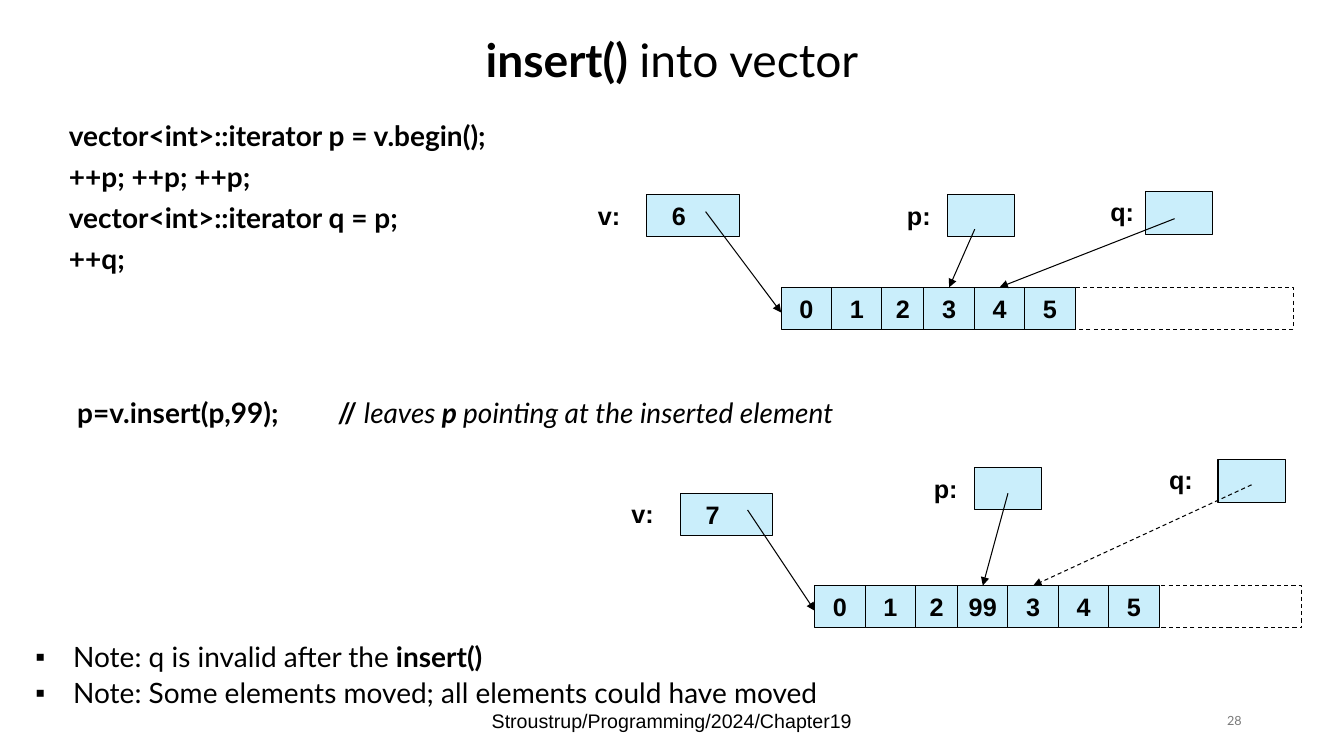
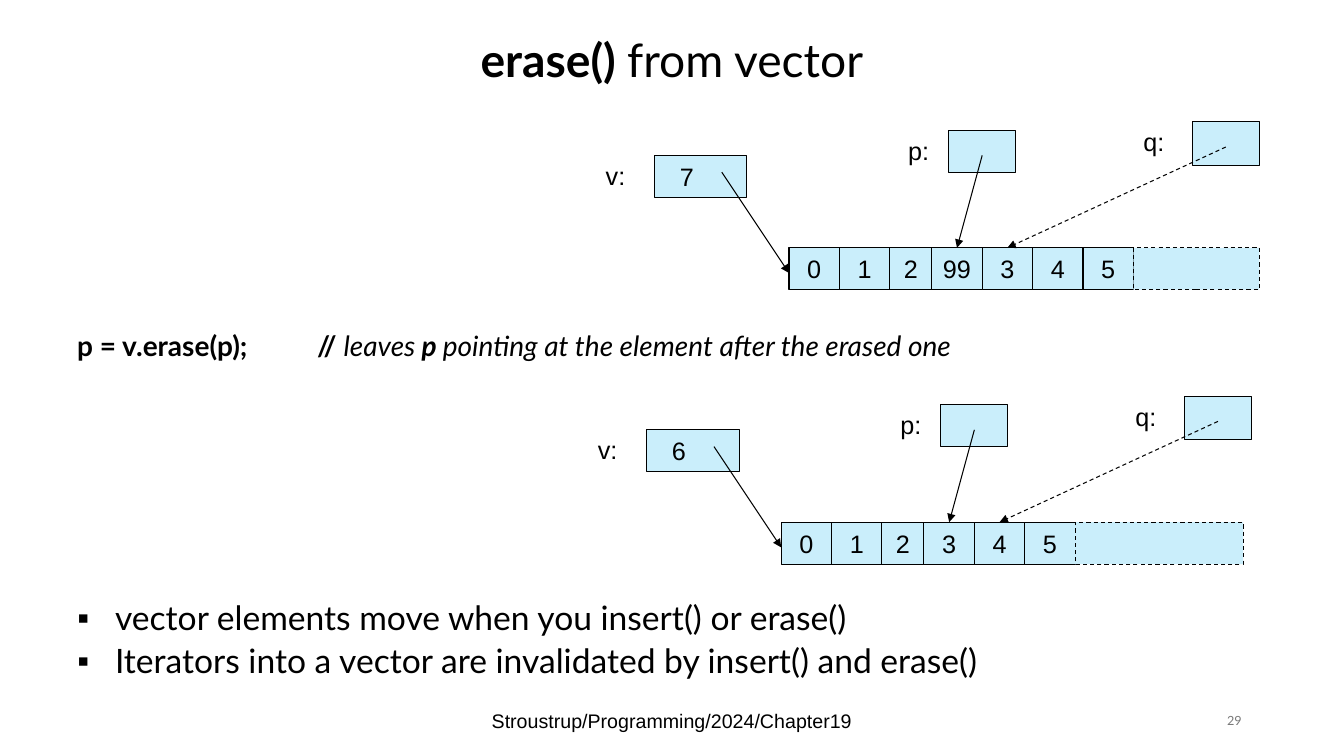
from dataclasses import dataclass
from itertools import accumulate

from lxml.etree import SubElement
from pptx import Presentation
from pptx.dml.color import RGBColor
from pptx.enum.dml import MSO_LINE_DASH_STYLE as Dash
from pptx.enum.shapes import MSO_CONNECTOR_TYPE as Connector, MSO_SHAPE as Preset
from pptx.enum.text import MSO_ANCHOR as Anchor, MSO_AUTO_SIZE as AutoSize, PP_ALIGN as Align
from pptx.oxml.ns import qn
from pptx.util import Pt


@dataclass(frozen=True)
class Theme:
    ink: RGBColor = RGBColor(0x00, 0x00, 0x00)
    muted: RGBColor = RGBColor(0x79, 0x79, 0x79)
    cell: RGBColor = RGBColor(0xCA, 0xEE, 0xFB)
    prose: str = "Lato"
    label: str = "Arial"
    title_size: float = 33
    code_size: float = 20
    diagram_size: float = 18
    footer_size: float = 14
    number_size: float = 9
    outline: float = 0.75


THEME = Theme()
SLIDE_SIZE = (960, 540)
TITLE_BOX = (156, 0, 648, 90)
FOOTER_BOX = (318, 500.4, 324, 28.8)
NUMBER_BOX = (678, 500.4, 216, 28.8)
FOOTER = "Stroustrup/Programming/2024/Chapter19"

CELL_HEIGHT = 30
CELL_WIDTHS = (36, 36, 30, 36, 36, 36, 36)
SIZE_BOX = (-96, -66, 66, CELL_HEIGHT)
SIZE_LABEL_GAP = 42
DATA_ARROW_DROP = (-54, 18)

NEAR = {
    "p": {"box": (118.8, -66, 48, 30), "gap": 36, "start": (19.5, 24.5), "dashed": False},
    "q": {"box": (260, -68.4, 48, 31), "gap": 32, "start": (21, 19.4), "dashed": False},
}
FAR = {
    "p": {"box": (114, -84, 48, 30), "gap": 36, "start": (24, 18), "dashed": False},
    "q": {"box": (288, -90, 48, 31), "gap": 42, "start": (24, 18), "dashed": True},
}
TARGETS = {"p": 3, "q": 4}

SLIDES = [
    {
        "number": "28",
        "layout": 3,
        "title": [("insert() ", "b"), ("into vector", "")],
        "code": {
            "box": (42, 84, 426, 130),
            "lines": [
                [("vector<int>::iterator p = v.begin();", "b")],
                [("++p; ++p; ++p;", "b")],
                [("vector<int>::iterator q = p;", "b")],
                [("++q;", "b")],
            ],
        },
        "call": {
            "box": (48, 281.5, 708, 42),
            "tab": 186,
            "line": [("p=v.insert(p,99);\t// ", "b"), ("leaves", "i"), (" p ", "bi"),
                     ("pointing at the inserted element", "i")],
        },
        "notes": {
            "box": (18, 455.8, 768, 72),
            "size": 20,
            "lines": [
                [("Note: q is invalid after the", ""), (" insert()", "b")],
                [("Note: Some elements moved; all elements could have moved", "")],
            ],
        },
        "bold": True,
        "spare_filled": False,
        "vectors": [
            {"origin": (558, 205.2), "values": "0 1 2 3 4 5", "spare": 156,
             "data_start": -54, "iterators": NEAR},
            {"origin": (582, 418.3), "values": "0 1 2 99 3 4 5", "spare": 102,
             "data_start": -48, "iterators": FAR},
        ],
    },
    {
        "number": "29",
        "layout": 1,
        "title": [("erase() ", "b"), ("from vector", "")],
        "call": {
            "box": (48, 234, 744, 42),
            "tab": 171.5,
            "line": [("p = v.erase(p);\t// ", "b"), ("leaves", "i"), (" p ", "bi"),
                     ("pointing at the element after the erased one", "i")],
        },
        "notes": {
            "box": (48, 426, 762, 66),
            "size": 24,
            "lines": [
                [("vector elements move when you insert() or erase()", "")],
                [("Iterators into a vector are invalidated by insert() and erase()", "")],
            ],
        },
        "bold": False,
        "spare_filled": True,
        "vectors": [
            {"origin": (563.6, 177), "values": "0 1 2 99 3 4 5", "spare": 90,
             "data_start": -48, "iterators": FAR},
            {"origin": (558, 373), "values": "0 1 2 3 4 5", "spare": 120,
             "data_start": -48, "iterators": FAR},
        ],
    },
]


def assign(target, values):
    for key, value in values.items():
        setattr(target, key, value)


def points(values):
    return [Pt(value) for value in values]


def place(holder, box):
    assign(holder, dict(zip(("left", "top", "width", "height"), points(box))))


def write(holder, lines, size, font, color=THEME.ink, paragraph=None, frame=None):
    text = holder.text_frame
    assign(text, {"word_wrap": True, "auto_size": AutoSize.NONE, **(frame or {})})
    for index, line in enumerate(lines):
        row = text.add_paragraph() if index else text.paragraphs[0]
        assign(row, paragraph or {})
        for words, style in line:
            run = row.add_run()
            run.text = words
            assign(run.font, {"name": font, "size": Pt(size),
                              "bold": "b" in style, "italic": "i" in style})
            run.font.color.rgb = color
    return text.paragraphs


def set_bullets(rows, mark=None, indent=0):
    for row in rows:
        props = row._p.get_or_add_pPr()
        props.set("marL", str(Pt(indent)))
        props.set("indent", str(-Pt(indent)))
        if mark:
            SubElement(props, qn("a:buChar"), char=mark)
        else:
            SubElement(props, qn("a:buNone"))


def add_label(slide, words, box, **kwargs):
    label = slide.shapes.add_textbox(*points(box))
    return write(label, [words], **kwargs)


def draw_line(line, dashed=False):
    line.color.rgb = THEME.ink
    line.width = Pt(THEME.outline)
    if dashed:
        line.dash_style = Dash.DASH


def add_cell(slide, box, value="", style="", filled=True, dashed=False, right_inset=0):
    cell = slide.shapes.add_shape(Preset.RECTANGLE, *points(box))
    cell.shadow.inherit = False
    if filled:
        cell.fill.solid()
        cell.fill.fore_color.rgb = THEME.cell
    else:
        cell.fill.background()
    draw_line(cell.line, dashed)
    if value:
        write(cell, [[(value, style)]], THEME.diagram_size, THEME.label,
              paragraph={"alignment": Align.CENTER},
              frame={"vertical_anchor": Anchor.MIDDLE, "margin_left": 0,
                     "margin_right": Pt(right_inset)})
    return cell


def add_arrow(slide, start, end, dashed=False, target=None):
    arrow = slide.shapes.add_connector(Connector.STRAIGHT, *points((*start, *end)))
    if target is not None:
        arrow.end_connect(target, 0)
    draw_line(arrow.line, dashed)
    SubElement(arrow.line._get_or_add_ln(), qn("a:tailEnd"), type="triangle")
    SubElement(arrow._element.spPr, qn("a:effectLst"))


def draw_vector(slide, vector, bold, spare_filled):
    x, y = vector["origin"]
    style = "b" if bold else ""
    values = vector["values"].split()

    def name_label(name, left, top, width):
        add_label(slide, [(name + ":", style)], (left, top, width, 29),
                  size=THEME.diagram_size, font=THEME.label)

    dx, dy, width, height = SIZE_BOX
    add_cell(slide, (x + dx, y + dy, width, height), str(len(values)), style, right_inset=20)
    name_label("v", x + dx - SIZE_LABEL_GAP, y + dy, SIZE_LABEL_GAP)

    edges = list(accumulate(CELL_WIDTHS[:len(values)], initial=0))
    cells = [add_cell(slide, (x + edge, y, cell_width, CELL_HEIGHT), value, style)
             for edge, cell_width, value in zip(edges, CELL_WIDTHS, values)]
    add_cell(slide, (x + edges[-1], y, vector["spare"], CELL_HEIGHT),
             filled=spare_filled, dashed=True)

    rise, drop = DATA_ARROW_DROP
    add_arrow(slide, (x + vector["data_start"], y + rise), (x, y + drop))
    for name, pointer in vector["iterators"].items():
        dx, dy, width, height = pointer["box"]
        left, top = x + dx, y + dy
        add_cell(slide, (left, top, width, height))
        name_label(name, left - pointer["gap"], top, 36)
        start_x, start_y = pointer["start"]
        index = TARGETS[name]
        add_arrow(slide, (left + start_x, top + start_y),
                  (x + edges[index] + CELL_WIDTHS[index] / 2, y),
                  pointer["dashed"], cells[index])


def add_frame(slide, content):
    title = slide.shapes.title
    place(title, TITLE_BOX)
    write(title, [content["title"]], THEME.title_size, THEME.prose,
          paragraph={"alignment": Align.CENTER, "line_spacing": 0.9},
          frame={"vertical_anchor": Anchor.MIDDLE})
    middle = {"vertical_anchor": Anchor.MIDDLE}
    add_label(slide, [(FOOTER, "")], FOOTER_BOX, size=THEME.footer_size, font=THEME.label,
              paragraph={"alignment": Align.CENTER}, frame=middle)
    add_label(slide, [(content["number"], "")], NUMBER_BOX, size=THEME.number_size,
              font=THEME.prose, color=THEME.muted,
              paragraph={"alignment": Align.RIGHT}, frame=middle)


def add_call(slide, call):
    row = add_label(slide, call["line"], call["box"], size=THEME.code_size, font=THEME.prose,
                    paragraph={"line_spacing": 0.9})[0]
    stops = SubElement(row._p.get_or_add_pPr(), qn("a:tabLst"))
    SubElement(stops, qn("a:tab"), pos=str(Pt(call["tab"])), algn="l")


def build_slide(deck, content):
    slide = deck.slides.add_slide(deck.slide_layouts[content["layout"]])
    add_frame(slide, content)
    bodies = list(slide.placeholders)[1:]
    if "code" in content:
        code = content["code"]
        place(bodies[0], code["box"])
        set_bullets(write(bodies[0], code["lines"], THEME.code_size, THEME.prose,
                          paragraph={"line_spacing": 0.9, "space_before": Pt(7.5)}))
    notes = content["notes"]
    place(bodies[-1], notes["box"])
    set_bullets(write(bodies[-1], notes["lines"], notes["size"], THEME.prose,
                      paragraph={"line_spacing": 0.9, "space_before": Pt(notes["size"] / 5)}),
                "▪", 27)
    add_call(slide, content["call"])
    for vector in content["vectors"]:
        draw_vector(slide, vector, content["bold"], content["spare_filled"])


def main():
    deck = Presentation()
    assign(deck, dict(zip(("slide_width", "slide_height"), points(SLIDE_SIZE))))
    for content in SLIDES:
        build_slide(deck, content)
    deck.save("out.pptx")


if __name__ == "__main__":
    main()
